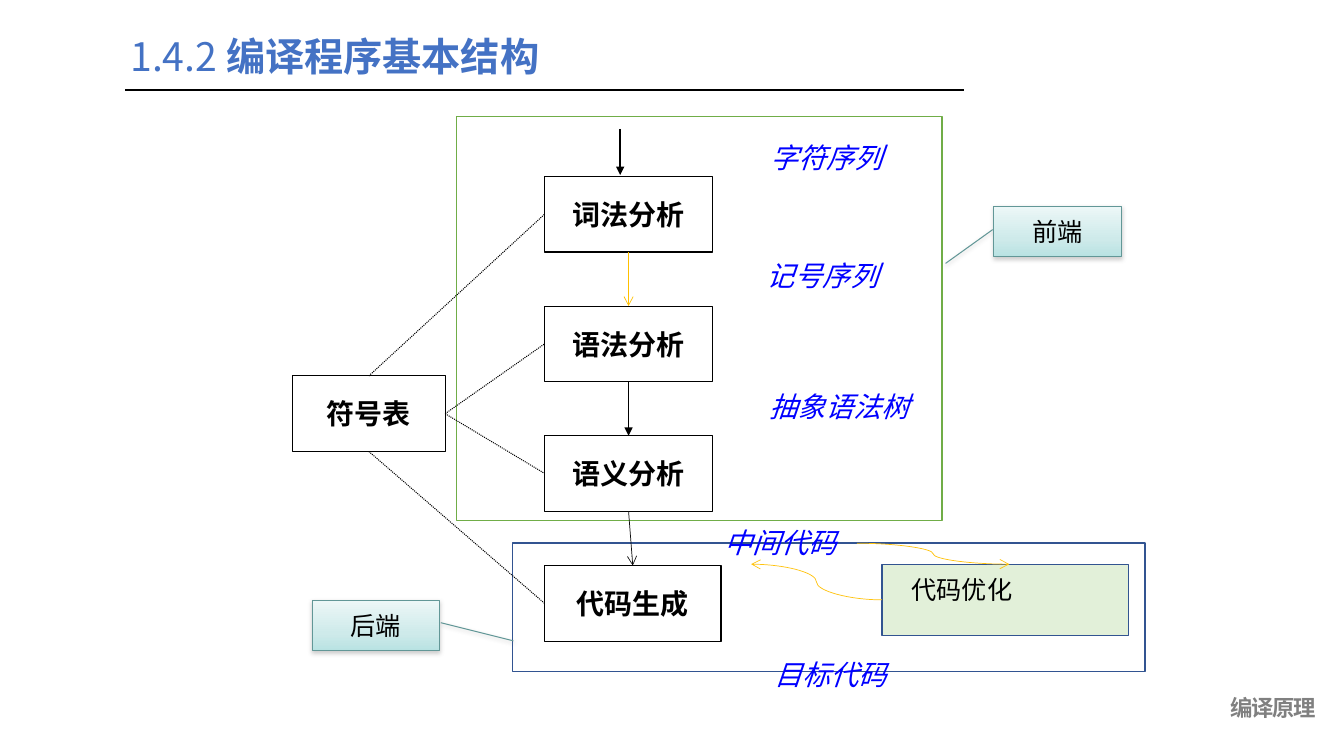
from lxml import etree
from pptx import Presentation
from pptx.dml.color import RGBColor
from pptx.enum.dml import MSO_LINE as Dash
from pptx.enum.shapes import MSO_CONNECTOR as Conn, MSO_SHAPE as Kind
from pptx.enum.text import MSO_ANCHOR as Anchor, MSO_AUTO_SIZE as Size, PP_ALIGN as Align
from pptx.oxml import parse_xml
from pptx.oxml.ns import nsdecls, qn
from pptx.util import Pt

HEX = {
    "black": "000000", "ink": "0D0D0D", "white": "FFFFFF", "title": "4472C4",
    "grey": "808080", "note": "0000FF", "front": "70AD47", "back": "325491",
    "gold": "FFC000", "amber": "FFC30D", "mint": "E2F0D9", "teal": "629797",
}
FADE = ((0, "ECF7F7"), (65, "CEEAEA"), (100, "B8E2E2"))
SANS = "Noto Sans CJK SC"
STAGE = {"name": "Comic Neue", "size": Pt(20), "bold": True}
NOTE = {"name": "DejaVu Sans", "size": Pt(20), "italic": True}
TOP, LEFT, BOTTOM, RIGHT = range(4)
STEP = 92.6


def color(key):
    return RGBColor.from_string(HEX[key])


def write(para, text, style, key):
    run = para.add_run()
    run.text = text
    for name, value in style.items():
        setattr(run.font, name, value)
    run.font.color.rgb = color(key)
    # East Asian text needs its own typeface entry
    props = run.font._element
    etree.SubElement(props, qn("a:ea")).set("typeface", style["name"])
    return props


def label(slide, box, align=None, wrap=True):
    frame = slide.shapes.add_textbox(*map(Pt, box)).text_frame
    frame.word_wrap = wrap
    frame.auto_size = Size.SHAPE_TO_FIT_TEXT
    frame.paragraphs[0].alignment = align
    return frame


def note(slide, x, y, text):
    frame = label(slide, (x, y, 15 + 20 * len(text), 32), Align.CENTER, False)
    write(frame.paragraphs[0], text, NOTE, "note")


def block(slide, box, edge, width, fill=None, kind=Kind.RECTANGLE):
    shape = slide.shapes.add_shape(kind, *map(Pt, box))
    shape.shadow.inherit = False
    if fill:
        shape.fill.solid()
        shape.fill.fore_color.rgb = color(fill)
    else:
        shape.fill.background()
    shape.line.color.rgb = color(edge)
    shape.line.width = Pt(width)
    return shape


def caption(shape, text, style):
    frame = shape.text_frame
    frame.vertical_anchor = Anchor.MIDDLE
    frame.paragraphs[0].alignment = Align.CENTER
    write(frame.paragraphs[0], text, style, "black")


def stage(slide, x, y, width, text):
    shape = block(slide, (x, y, width, 54), "black", 0.75,
                  kind=Kind.FLOWCHART_PROCESS)
    caption(shape, text, STAGE)
    return shape


def link(slide, ends, key, width, head=None, dash=None, kind=Conn.STRAIGHT):
    """Each end is a point (x, y) or a pair (shape, side)."""
    points = [(0, 0) if hasattr(a, "shape_id") else (a, b) for a, b in ends]
    wire = slide.shapes.add_connector(kind, *(Pt(v) for p in points for v in p))
    for (a, b), join in zip(ends, (wire.begin_connect, wire.end_connect)):
        if hasattr(a, "shape_id"):
            join(a, b)
    wire.line.color.rgb = color(key)
    wire.line.width = Pt(width)
    if dash:
        wire.line.dash_style = dash
    if head:
        etree.SubElement(wire.line._get_or_add_ln(), qn("a:tailEnd")).set("type", head)
    etree.SubElement(wire._element.spPr, qn("a:effectLst"))


def callout(slide, box, text, points):
    shape = block(slide, box, "teal", 0.75, kind=Kind.LINE_CALLOUT_1)
    for i, value in enumerate(points):
        shape.adjustments[i] = value
    props = shape._element.spPr
    # Three-stop vertical gradient
    stops = "".join(f'<a:gs pos="{pos * 1000}"><a:srgbClr val="{tone}"/></a:gs>'
                    for pos, tone in FADE)
    props.replace(props.find(qn("a:noFill")), parse_xml(
        f'<a:gradFill {nsdecls("a")}><a:gsLst>{stops}</a:gsLst>'
        '<a:lin ang="5400000" scaled="0"/></a:gradFill>'))
    # Soft shadow below
    props.replace(props.find(qn("a:effectLst")), parse_xml(
        f'<a:effectLst {nsdecls("a")}><a:outerShdw blurRad="{Pt(3.1)}" '
        f'dist="{Pt(1.6)}" dir="5400000" rotWithShape="0">'
        f'<a:srgbClr val="{HEX["grey"]}"><a:alpha val="38000"/></a:srgbClr>'
        '</a:outerShdw></a:effectLst>'))
    caption(shape, text, {"name": SANS, "size": Pt(18)})


def header(slide, box):
    x, y, width, height = box
    para = label(slide, (x - 3.5, y, 480, 41)).paragraphs[0]
    style = {"name": SANS, "size": Pt(28)}
    write(para, "1.4.2 ", style, "title")
    write(para, "编译程序基本结构", {**style, "bold": True}, "title")
    link(slide, ((x, y + height), (x + width, y + height)), "black", 1.5)


def footer(slide, box):
    frame = label(slide, box, Align.RIGHT)
    for side, gap in {"left": 0, "top": 3, "right": 0, "bottom": 0}.items():
        setattr(frame, f"margin_{side}", Pt(gap))
    style = {"name": SANS, "size": Pt(16), "bold": True}
    write(frame.paragraphs[0], "编译原理", style, "grey").set("spc", "-100")


def front(slide, box):
    x, y = box[:2]
    block(slide, box, "front", 1, "white")
    # Analysis stages
    names = ("词法分析", "语法分析", "语义分析")
    steps = [stage(slide, x + 63, y + 43 + i * STEP, 120, name)
             for i, name in enumerate(names)]
    # Flow between them
    link(slide, ((x + 117, y + 9), (x + 117, y + 42)), "black", 1, "triangle")
    looks = (("gold", 0.5, "arrow"), ("black", 1, "triangle"))
    for above, below, look in zip(steps, steps[1:], looks):
        link(slide, ((above, BOTTOM), (below, TOP)), *look)
    # What each stage takes in
    for dx, dy, text in ((217, 14, "字符序列"), (214, 98, "记号序列"),
                         (216, 192, "抽象语法树")):
        note(slide, x + dx, y + dy, text)
    return steps


def back(slide, box):
    x, y = box[:2]
    block(slide, box, "back", 1)
    maker = stage(slide, x + 23, y + 16, 126, "代码生成")
    note(slide, x + 144, y - 16, "中间代码")
    note(slide, x + 180, y + 78, "目标代码")
    # Optimiser and its two curved arrows
    tuner = block(slide, (x + 264, y + 15, 176, 51), "back", 1, "mint")
    frame = label(slide, (x + 278, y + 19, 153, 29))
    write(frame.paragraphs[0], "代码优化", {"name": "Arial", "size": Pt(18)}, "black")
    for ends in (((x + 246, y), (x + 355, y + 15)),
                 ((tuner, LEFT), (x + 170.5, y + 15))):
        link(slide, ends, "amber", 0.5, "arrow", kind=Conn.CURVE)
    return maker


def symbols(slide, box, steps):
    x, y, width, _ = box
    table = stage(slide, x, y, width, "符号表")
    for side, step in zip((TOP, RIGHT, RIGHT, BOTTOM), steps):
        link(slide, ((table, side), (step, LEFT)), "black", 0.75,
             dash=Dash.ROUND_DOT)


def main():
    deck = Presentation()
    deck.slide_width, deck.slide_height = Pt(960), Pt(540)
    slide = deck.slides.add_slide(deck.slide_layouts[6])
    footer(slide, (792, 492.5, 148, 22))
    header(slide, (89.5, 19.5, 599, 45))
    maker = back(slide, (366, 388, 452, 91.5))
    steps = front(slide, (326, 83, 347, 289))
    link(slide, ((steps[-1], BOTTOM), (maker, TOP)), "ink", 0.5, "arrow")
    symbols(slide, (209, 268.5, 109, 54), steps + [maker])
    callout(slide, (710, 147.5, 91, 36), "前端", (0.46, -0.01, 1.13, -0.38))
    callout(slide, (223, 429, 91, 36), "后端", (0.44, 1.01, 0.8, 1.58))
    deck.save("out.pptx")


if __name__ == "__main__":
    main()
